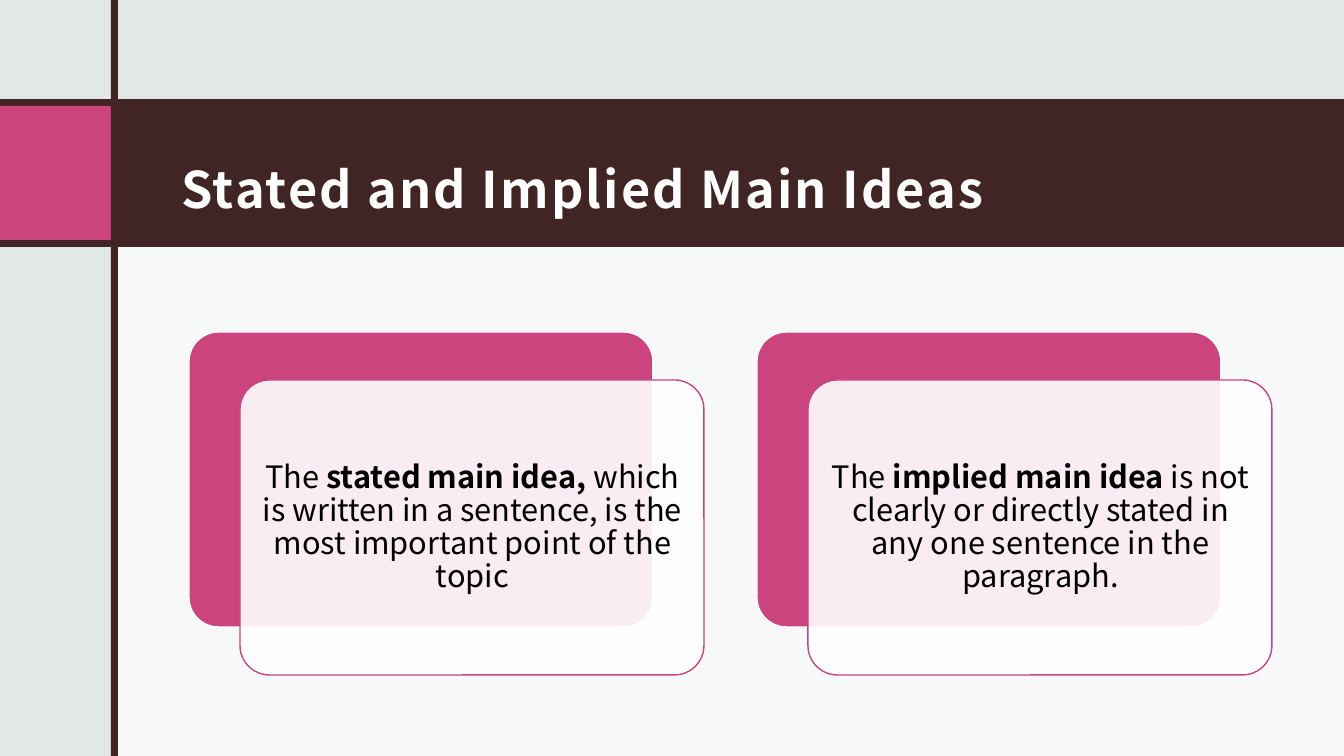
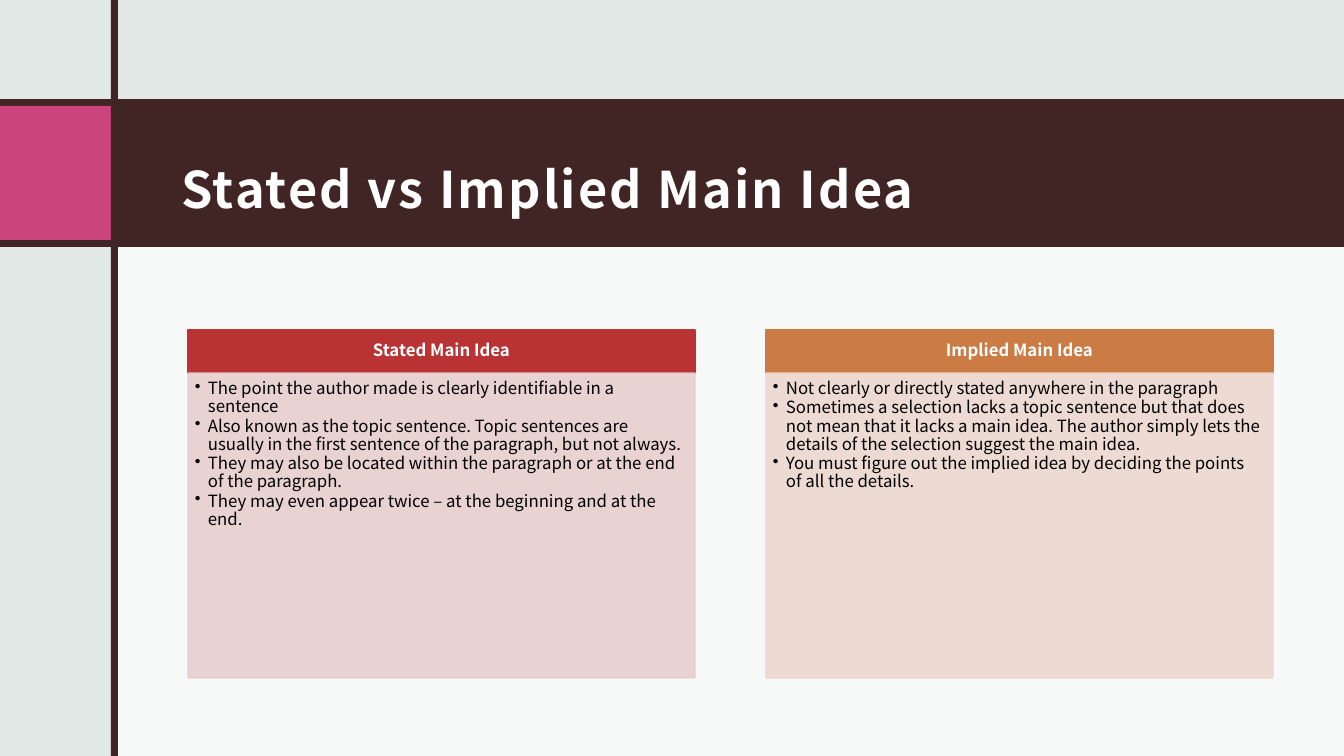
import pptx
import pptx.dml.color
import pptx.enum.shapes
import pptx.enum.text
import pptx.oxml.ns
import pptx.util
from lxml import etree

EMU_PER_PX = 914400 / 100.8
PAGE_WIDTH, PAGE_HEIGHT = 1344, 756
FONT = "Noto Sans CJK JP"
WHITE, BLACK = "FFFFFF", "000000"
MIST, COCOA, PINK = "E2E8E5", "412524", "CB447E"
RECT = pptx.enum.shapes.MSO_SHAPE.RECTANGLE
ROUNDED = pptx.enum.shapes.MSO_SHAPE.ROUNDED_RECTANGLE
CENTER = pptx.enum.text.PP_ALIGN.CENTER
TOP = pptx.enum.text.MSO_ANCHOR.TOP
MIDDLE = pptx.enum.text.MSO_ANCHOR.MIDDLE

IDEA_CARDS = [
    [("The ", False), ("stated main idea, ", True),
     ("which is written in a sentence, is the most important point of the topic", False)],
    [("The ", False), ("implied main idea ", True),
     ("is not clearly or directly stated in any one sentence in the paragraph.", False)],
]

COMPARISON = [
    ("Stated Main Idea", "BA3334", "E7CECE", [
        "The point the author made is clearly identifiable in a sentence",
        "Also known as the topic sentence. Topic sentences are usually in the first "
        "sentence of the paragraph, but not always.",
        "They may also be located within the paragraph or at the end of the paragraph.",
        "They may even appear twice – at the beginning and at the end.",
    ]),
    ("Implied Main Idea", "CB7B44", "ECD7CF", [
        "Not clearly or directly stated anywhere in the paragraph",
        "Sometimes a selection lacks a topic sentence but that does not mean that it "
        "lacks a main idea. The author simply lets the details of the selection suggest "
        "the main idea.",
        "You must figure out the implied idea by deciding the points of all the details.",
    ]),
]


def px(length):
    return pptx.util.Emu(round(length * EMU_PER_PX))


def rgb(color):
    return pptx.dml.color.RGBColor.from_string(color)


def set_alpha(fill_format, percent):
    color = fill_format._xPr.find(".//" + pptx.oxml.ns.qn("a:srgbClr"))
    etree.SubElement(color, pptx.oxml.ns.qn("a:alpha"), val=str(percent * 1000))


def add_box(page, place, fill, line=None, kind=RECT, opacity=100):
    box = page.shapes.add_shape(kind, *map(px, place))
    box.shadow.inherit = False
    box.fill.solid()
    box.fill.fore_color.rgb = rgb(fill)
    if opacity < 100:
        set_alpha(box.fill, opacity)
    if line:
        box.line.color.rgb = rgb(line)
        box.line.width = pptx.util.Pt(1)
    else:
        box.line.fill.background()
    if kind == ROUNDED:
        box.adjustments[0] = 0.1
    return box


def add_text_box(page, place, insets, anchor=MIDDLE):
    frame = page.shapes.add_textbox(*map(px, place)).text_frame
    frame.word_wrap = True
    frame.vertical_anchor = anchor
    frame.margin_left, frame.margin_top, frame.margin_right, frame.margin_bottom = map(px, insets)
    return frame


def add_span(para, text, size, color, bold=False):
    span = para.add_run()
    span.text = text
    span.font.name = FONT
    span.font.size = pptx.util.Pt(size)
    span.font.bold = bold
    span.font.color.rgb = rgb(color)
    return span


def set_bullet(para, indent):
    properties = para._p.get_or_add_pPr()
    properties.set("marL", str(px(indent)))
    properties.set("indent", str(-px(indent)))
    etree.SubElement(properties, pptx.oxml.ns.qn("a:buChar"), char="•")


def add_page(deck, title):
    page = deck.slides.add_slide(deck.slide_layouts[6])
    page.background.fill.solid()
    page.background.fill.fore_color.rgb = rgb(MIST)
    add_box(page, (115, 235, PAGE_WIDTH - 115, PAGE_HEIGHT - 235), WHITE, opacity=75)
    add_box(page, (0, 99, PAGE_WIDTH, 148), COCOA)
    add_box(page, (0, 106, 111, 134), PINK)
    add_box(page, (111, 0, 7, PAGE_HEIGHT), COCOA)
    para = add_text_box(page, (169, 115, 1104, 114), (12, 12, 12, 10)).paragraphs[0]
    para.line_spacing = 1.5
    span = add_span(para, title, 36, WHITE, True)
    span.font._element.set("spc", "150")
    return page


def add_idea_card(page, left, spans):
    width, height, top = 464, 295, 332
    add_box(page, (left, top, width, height), PINK, WHITE, ROUNDED)
    add_box(page, (left + 51, top + 48, width, height), WHITE, PINK, ROUNDED, 90)
    frame = add_text_box(page, (left + 60, top + 57, width - 17, height - 17), (9, 9, 9, 9))
    para = frame.paragraphs[0]
    para.alignment = CENTER
    para.line_spacing = 0.9
    for text, bold in spans:
        add_span(para, text, 22, BLACK, bold)


def add_comparison_column(page, left, heading, accent, tint, points):
    width, top, head_height, body_height = 507, 330, 43, 305
    head = (left, top, width, head_height)
    body = (left, top + head_height, width, body_height)
    add_box(page, head, accent, accent)
    para = add_text_box(page, head, (9, 5, 9, 5)).paragraphs[0]
    para.alignment = CENTER
    para.line_spacing = 0.9
    add_span(para, heading, 12, WHITE, True)
    panel = add_box(page, body, tint, tint, opacity=90)
    set_alpha(panel.line.fill, 90)
    frame = add_text_box(page, body, (7, 7, 9, 10), TOP)
    for index, point in enumerate(points):
        para = frame.add_paragraph() if index else frame.paragraphs[0]
        para.line_spacing = 0.9
        para.space_after = pptx.util.Pt(1)
        set_bullet(para, 13)
        add_span(para, point, 12, BLACK)


def main():
    deck = pptx.Presentation()
    deck.slide_width, deck.slide_height = px(PAGE_WIDTH), px(PAGE_HEIGHT)
    page = add_page(deck, "Stated and Implied Main Ideas")
    for index, spans in enumerate(IDEA_CARDS):
        add_idea_card(page, 189 + index * 568, spans)
    page = add_page(deck, "Stated vs Implied Main Idea")
    for index, column in enumerate(COMPARISON):
        add_comparison_column(page, 188 + index * 578, *column)
    deck.save("out.pptx")


if __name__ == "__main__":
    main()
